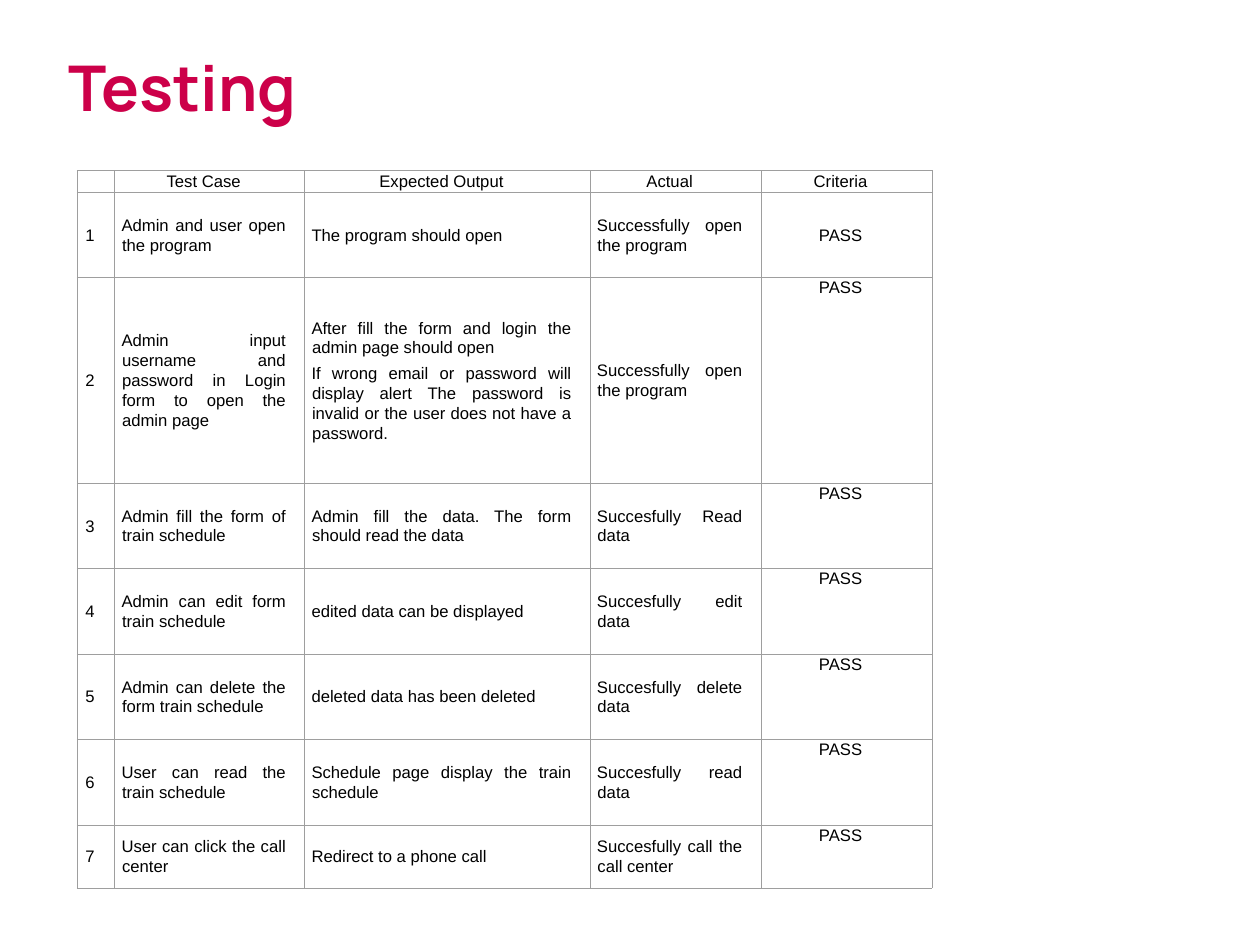
from dataclasses import dataclass

from lxml import etree
from pptx import Presentation
from pptx.dml.color import RGBColor
from pptx.enum.text import MSO_ANCHOR, PP_ALIGN
from pptx.oxml.ns import qn
from pptx.util import Pt

CENTER, JUSTIFY, LEFT = PP_ALIGN.CENTER, PP_ALIGN.JUSTIFY, PP_ALIGN.LEFT
TOP, MIDDLE = MSO_ANCHOR.TOP, MSO_ANCHOR.MIDDLE


@dataclass(frozen=True)
class Theme:
    title_font: str = "Manrope"
    body_font: str = "Arial"
    title_size: float = 90.7
    body_size: float = 24
    title_color: str = "CC0049"
    body_color: str = "000000"
    border_color: str = "9E9E9E"
    border_width: float = 0.75


THEME = Theme()
COLUMN_WIDTHS = [54, 273.6, 411.1, 246.2, 246.2]
ROW_HEIGHTS = [28.8, 123.1, 295.9, 123.1, 123.1, 123.1, 123.1, 91.4]
HEADERS = ["", "Test Case", "Expected Output", "Actual", "Criteria"]
TEST_CASES = [
    ("Admin and user open the program", "The program should open",
     "Successfully open the program"),
    ("Admin input username and password in Login form to open the admin page",
     "After fill the form and login the admin page should open\n"
     "If wrong email or password will display alert The password is invalid "
     "or the user does not have a password.",
     "Successfully open the program"),
    ("Admin fill the form of train schedule",
     "Admin fill the data. The form should read the data", "Succesfully Read data"),
    ("Admin can edit form train schedule", "edited data can be displayed",
     "Succesfully edit data"),
    ("Admin can delete the form train schedule", "deleted data has been deleted",
     "Succesfully delete data"),
    ("User can read the train schedule", "Schedule page display the train schedule",
     "Succesfully read data"),
    ("User can click the call center", "Redirect to a phone call",
     "Succesfully call the call center"),
]


def apply_format(target, values):
    for name, value in values.items():
        setattr(target, name, value)


def format_font(font, name, size, color, bold):
    apply_format(font, {"name": name, "size": Pt(size), "bold": bold})
    font.color.rgb = RGBColor.from_string(color)


def add_title(slide, text):
    shape = slide.shapes.add_textbox(Pt(77.8), Pt(49), Pt(1181.5), Pt(151.2))
    frame = shape.text_frame
    inset = Pt(20.2)
    apply_format(frame, {
        "word_wrap": True, "vertical_anchor": MIDDLE, "text": text,
        "margin_left": inset, "margin_right": inset,
        "margin_top": inset, "margin_bottom": inset,
    })
    paragraph = frame.paragraphs[0]
    paragraph.alignment = LEFT
    format_font(paragraph.runs[0].font, THEME.title_font, THEME.title_size,
                THEME.title_color, True)


def add_borders(cell):
    properties = cell._tc.get_or_add_tcPr()
    for position, side in enumerate(("lnL", "lnR", "lnT", "lnB")):
        line = etree.Element(qn(f"a:{side}"), w=str(Pt(THEME.border_width)))
        fill = etree.SubElement(line, qn("a:solidFill"))
        etree.SubElement(fill, qn("a:srgbClr"), val=THEME.border_color)
        properties.insert(position, line)


def fill_cell(cell, text, alignment, anchor):
    apply_format(cell, {
        "text": text, "vertical_anchor": anchor,
        "margin_left": Pt(5), "margin_right": Pt(5),
        "margin_top": 0, "margin_bottom": 0,
    })
    cell.fill.background()
    add_borders(cell)
    for paragraph in cell.text_frame.paragraphs:
        apply_format(paragraph, {
            "alignment": alignment, "line_spacing": 1.07, "space_after": Pt(8),
        })
        indents = {"marL": Pt(5.8), "marR": Pt(22), "indent": Pt(-0.7)}
        for name, value in indents.items():
            paragraph._p.get_or_add_pPr().set(name, str(value))
        for run in paragraph.runs:
            format_font(run.font, THEME.body_font, THEME.body_size,
                        THEME.body_color, False)


def add_test_table(slide):
    rows = [HEADERS] + [(str(number), *case, "PASS")
                        for number, case in enumerate(TEST_CASES, 1)]
    table = slide.shapes.add_table(
        len(rows), len(HEADERS), Pt(110.9), Pt(245.5),
        Pt(sum(COLUMN_WIDTHS)), Pt(sum(ROW_HEIGHTS))).table
    apply_format(table, {"first_row": False, "horz_banding": False})
    for column, width in zip(table.columns, COLUMN_WIDTHS):
        column.width = Pt(width)
    for row, height in zip(table.rows, ROW_HEIGHTS):
        row.height = Pt(height)
    last_column = len(HEADERS) - 1
    for row_index, texts in enumerate(rows):
        for column_index, text in enumerate(texts):
            centered = row_index == 0 or column_index in (0, last_column)
            at_top = row_index > 1 and column_index == last_column
            fill_cell(table.cell(row_index, column_index), text,
                      CENTER if centered else JUSTIFY, TOP if at_top else MIDDLE)


def main():
    presentation = Presentation()
    apply_format(presentation, {"slide_width": Pt(1814.4), "slide_height": Pt(1360.8)})
    slide = presentation.slides.add_slide(presentation.slide_layouts[6])
    add_title(slide, "Testing")
    add_test_table(slide)
    presentation.save("out.pptx")


if __name__ == "__main__":
    main()
